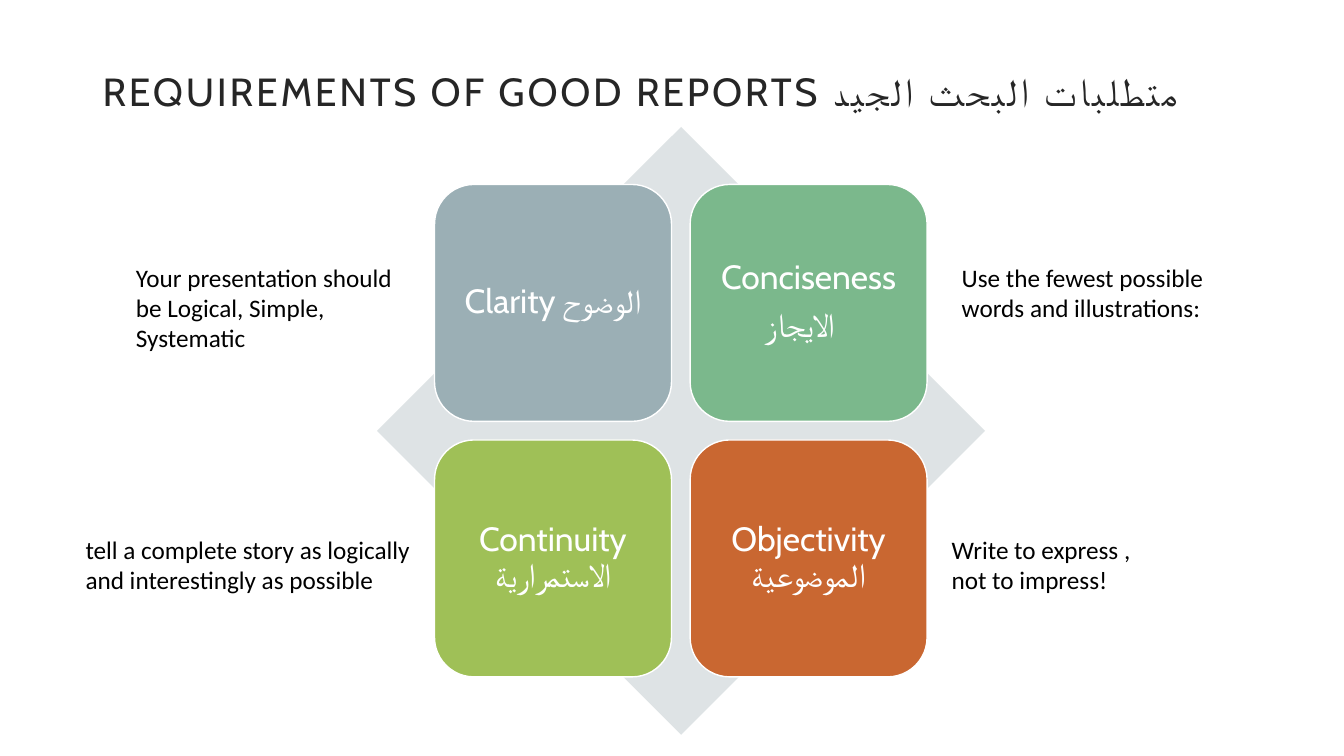
from pptx import Presentation, util as u
from pptx.dml.color import RGBColor
from pptx.enum import shapes, text

COLORS = {
    "white": "FFFFFF", "black": "000000", "title": "262626", "diamond": "DEE3E5",
    "slate": "9BAFB5", "green": "7BB88C", "lime": "9FC057", "orange": "C96731",
}
TILES = [
    (["Clarity الوضوح"], "slate"),
    (["Conciseness", "الايجاز"], "green"),
    (["Continuity الاستمرارية"], "lime"),
    (["Objectivity الموضوعية"], "orange"),
]
NOTES = [
    ("Your presentation should be Logical, Simple, Systematic", 1.25, 2.55, 2.88, 1.01),
    ("Use the fewest possible words and illustrations:", 9.44, 2.55, 2.88, 0.71),
    ("tell a complete story as logically and interestingly as possible", 0.75, 5.25, 3.55, 0.71),
    ("Write to express , not to impress!", 9.34, 5.25, 2.34, 1.01),
]
TILE_LEFT, TILE_TOP, TILE_SIZE, TILE_PITCH = 4.31, 1.83, 2.35, 2.535


def rgb(name):
    return RGBColor.from_string(COLORS[name])


class ReportSlide:
    """Draws the elements of the slide in one shared style."""

    heading_font = "Cabin"
    note_font = "Calibri"

    def __init__(self, prs):
        self.slide = prs.slides.add_slide(prs.slide_layouts[5])

    def frame(self, sp, inset):
        tf = sp.text_frame
        tf.word_wrap = True
        tf.auto_size = text.MSO_AUTO_SIZE.NONE
        tf.vertical_anchor = text.MSO_ANCHOR.MIDDLE
        tf.margin_left = tf.margin_right = u.Inches(inset)
        tf.margin_top = tf.margin_bottom = u.Inches(inset)
        return tf

    def format(self, p, font, size, color):
        p.font.name = font
        p.font.size = u.Pt(size)
        p.font.color.rgb = rgb(color)

    def title(self, words, left, top, width, height):
        sp = self.slide.shapes.title
        sp.left, sp.top = u.Inches(left), u.Inches(top)
        sp.width, sp.height = u.Inches(width), u.Inches(height)
        sp.fill.solid()
        sp.fill.fore_color.rgb = rgb("white")
        p = self.frame(sp, 0.2).paragraphs[0]
        p.alignment = text.PP_ALIGN.CENTER
        p.line_spacing = 0.9
        self.format(p, self.heading_font, 28, "title")
        r = p.add_run()
        r.text = words
        r._r.get_or_add_rPr().set("spc", "200")

    def shape(self, kind, left, top, size, color):
        sp = self.slide.shapes.add_shape(
            kind, u.Inches(left), u.Inches(top), u.Inches(size), u.Inches(size))
        sp.shadow.inherit = False
        sp.fill.solid()
        sp.fill.fore_color.rgb = rgb(color)
        sp.line.fill.background()
        return sp

    def tile(self, lines, left, top, color):
        sp = self.shape(shapes.MSO_SHAPE.ROUNDED_RECTANGLE, left, top, TILE_SIZE, color)
        sp.line.color.rgb = rgb("white")
        sp.line.width = u.Pt(1)
        tf = self.frame(sp, 0.1)
        tf.text = "\n".join(lines)
        for p in tf.paragraphs:
            p.alignment = text.PP_ALIGN.CENTER
            p.line_spacing = 0.9
            p.space_after = u.Pt(8.4)
            self.format(p, self.heading_font, 24, "white")
        for p in tf.paragraphs[1:]:
            p._p.get_or_add_pPr().set("marR", str(u.Inches(0.18)))

    def note(self, words, left, top, width, height):
        sp = self.slide.shapes.add_textbox(
            u.Inches(left), u.Inches(top), u.Inches(width), u.Inches(height))
        tf = sp.text_frame
        tf.word_wrap = True
        tf.auto_size = text.MSO_AUTO_SIZE.SHAPE_TO_FIT_TEXT
        tf.text = words
        self.format(tf.paragraphs[0], self.note_font, 18, "black")


def main():
    prs = Presentation()
    prs.slide_width, prs.slide_height = u.Inches(13.33), u.Inches(7.5)
    s = ReportSlide(prs)
    s.title("REQUIREMENTS OF GOOD REPORTS متطلبات البحث الجيد", 0, 0.02, 12.7, 1.83)
    s.shape(shapes.MSO_SHAPE.DIAMOND, 3.74, 1.26, 6.03, "diamond")
    for i, (lines, color) in enumerate(TILES):
        row, col = divmod(i, 2)
        s.tile(lines, TILE_LEFT + col * TILE_PITCH, TILE_TOP + row * TILE_PITCH, color)
    for note in NOTES:
        s.note(*note)
    prs.save("out.pptx")


if __name__ == "__main__":
    main()
